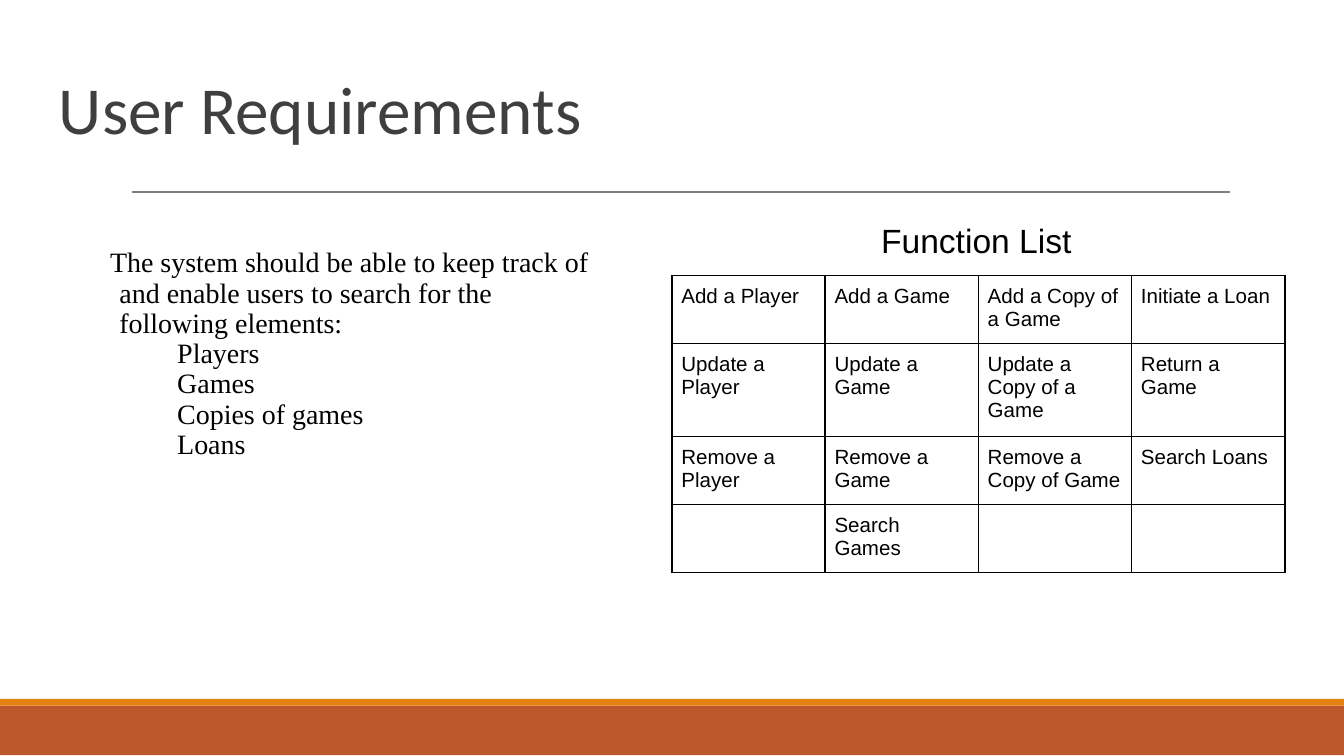
from dataclasses import dataclass

import lxml.etree
import pptx
import pptx.dml.color
import pptx.enum.shapes
import pptx.enum.text
import pptx.oxml.ns
import pptx.util
from pptx.util import Inches


@dataclass(frozen=True)
class Theme:
    rust: str = "BD582C"
    orange: str = "E48312"
    rule: str = "7F7F7F"
    heading: str = "3F3F3F"
    text: str = "000000"
    title_size: int = 36
    caption_size: int = 18
    body_size: int = 15
    cell_size: int = 11


theme = Theme()
qn = pptx.oxml.ns.qn


def format_paragraph(paragraph, font_name, size, color, line_spacing=None):
    paragraph.line_spacing = line_spacing
    for run in paragraph.runs:
        run.font.name = font_name
        run.font.size = pptx.util.Pt(size)
        run.font.color.rgb = pptx.dml.color.RGBColor.from_string(color)


def add_text_frame(left, top, width, height):
    """Add a wrapping, top-anchored text box and return its text frame."""
    box = slide.shapes.add_textbox(Inches(left), Inches(top), Inches(width), Inches(height))
    frame = box.text_frame
    frame.word_wrap = True
    frame.vertical_anchor = pptx.enum.text.MSO_ANCHOR.TOP
    frame.margin_left = frame.margin_right = Inches(0.1)
    frame.margin_top = frame.margin_bottom = Inches(0.1)
    return frame


presentation = pptx.Presentation()
presentation.slide_width = Inches(10)
presentation.slide_height = Inches(10) * 9 // 16
slide = presentation.slides.add_slide(presentation.slide_layouts[6])

# Footer bands and the rule under the title
for top, height, color in [(5.25, 0.37, theme.rust), (5.2, 0.05, theme.orange)]:
    band = slide.shapes.add_shape(
        pptx.enum.shapes.MSO_SHAPE.RECTANGLE, 0, Inches(top), Inches(10), Inches(height))
    band.shadow.inherit = False
    band.fill.solid()
    band.fill.fore_color.rgb = pptx.dml.color.RGBColor.from_string(color)
    band.line.fill.background()

title_rule = slide.shapes.add_connector(
    pptx.enum.shapes.MSO_CONNECTOR.STRAIGHT,
    Inches(0.98), Inches(1.43), Inches(9.15), Inches(1.43))
title_rule.line.color.rgb = pptx.dml.color.RGBColor.from_string(theme.rule)
title_rule.line.width = pptx.util.Pt(0.75)
lxml.etree.SubElement(title_rule._element.spPr, qn("a:effectLst"))

# Title
title = add_text_frame(0.34, 0.49, 9.32, 0.63)
title.text = "User Requirements"
format_paragraph(title.paragraphs[0], "Calibri", theme.title_size, theme.heading, 0.85)

# Requirements
requirements = add_text_frame(0.72, 1.75, 3.89, 2.9)
requirements.text = "\n".join([
    "The system should be able to keep track of and enable users "
    "to search for the following elements:",
    "Players", "Games", "Copies of games", "Loans",
])
for index, paragraph in enumerate(requirements.paragraphs):
    format_paragraph(paragraph, "Times New Roman", theme.body_size, theme.text, 0.9)
    margin, indent = (0.5, -0.25) if index else (0.07, -0.07)
    properties = paragraph._p.get_or_add_pPr()
    properties.set("marL", str(Inches(margin)))
    properties.set("indent", str(Inches(indent)))
    if index:
        lxml.etree.SubElement(properties, qn("a:buChar"), char=" ")

# Function table
functions = [
    ["Add a Player", "Add a Game", "Add a Copy of a Game", "Initiate a Loan"],
    ["Update a Player", "Update a Game", "Update a Copy of a Game", "Return a Game"],
    ["Remove a Player", "Remove a Game", "Remove a Copy of Game", "Search Loans"],
    ["", "Search Games", "", ""],
]
table_frame = slide.shapes.add_table(
    len(functions), len(functions[0]),
    Inches(5), Inches(2.05), Inches(3.28), Inches(3.28))
table = table_frame.table
table.first_row = table.horz_banding = False
for column in table.columns:
    column.width = Inches(1.14)
for row, labels in zip(table.rows, functions):
    row.height = Inches(0.41)
    for cell, label in zip(row.cells, labels):
        cell.text = label
        cell.margin_left = cell.margin_right = Inches(0.07)
        cell.margin_top = cell.margin_bottom = Inches(0.07)
        format_paragraph(cell.text_frame.paragraphs[0], "Arial", theme.cell_size, theme.text)
        properties = cell._tc.get_or_add_tcPr()
        for edge in ("a:lnL", "a:lnR", "a:lnT", "a:lnB"):
            border = lxml.etree.SubElement(properties, qn(edge), w=str(pptx.util.Pt(1)))
            border_fill = lxml.etree.SubElement(border, qn("a:solidFill"))
            lxml.etree.SubElement(border_fill, qn("a:srgbClr"), val=theme.text)
        cell.fill.background()
# Rows grow with their text, so the frame keeps its own nominal size
table_frame.width = table_frame.height = Inches(3.28)

# Table caption
caption = add_text_frame(5.23, 1.54, 4.07, 0.46)
caption.text = "Function List"
caption.paragraphs[0].alignment = pptx.enum.text.PP_ALIGN.CENTER
format_paragraph(caption.paragraphs[0], "Arial", theme.caption_size, theme.text)

presentation.save("out.pptx")
